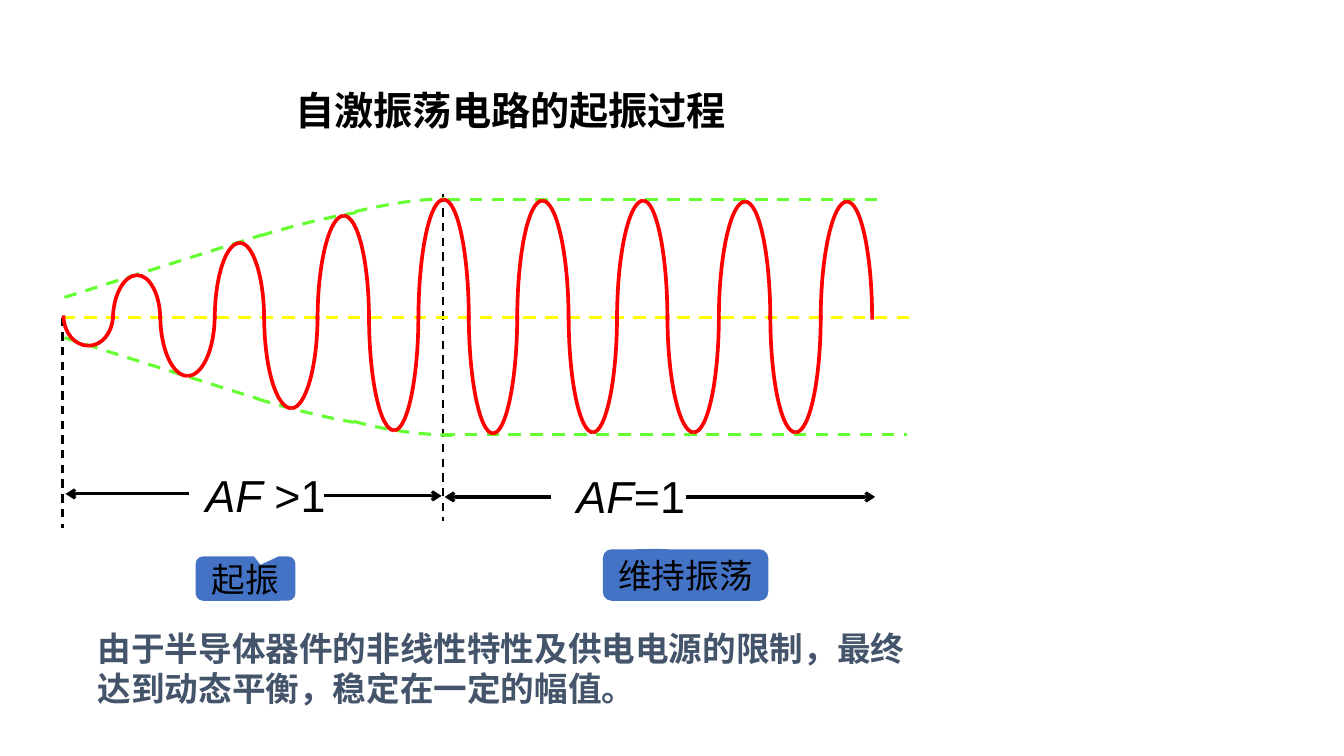
from lxml import etree
from pptx import Presentation
from pptx import util as u
from pptx.dml.color import RGBColor
from pptx.enum import dml, shapes, text
from pptx.oxml.ns import qn

EMU_PER_PX = 9144  # 100 px to the inch
COLORS = {"ink": "000000", "axis": "FFFF00", "envelope": "66FF33",
          "wave": "FF0000", "callout": "4472C4", "note": "44546A"}
AXIS_Y = 315
OVERLAP = 2  # each half wave runs slightly past the axis
ROUND = 0.55  # control point ratio of a quarter ellipse

ZERO_XS = [63, 112, 159, 213, 262, 315, 366, 415, 465,
           513, 564, 612, 662, 713, 764, 814, 865]
PEAKS = [(88, 343), (136, 273), (186, 373), (238, 241), (289, 405), (341, 214),
         (391, 427), (440, 198), (489, 430), (538, 199), (588, 429), (638, 199),
         (688, 429), (739, 200), (789, 429), (840, 200)]
ENVELOPE_LINES = [((64, 295), (260, 233)), ((444, 198), (871, 198)),
                  ((439, 431), (900, 431)), ((64, 335), (257, 396))]
ENVELOPE_CURVES = [[(258, 234), (291, 224), (323, 216), (353, 211)],
                   [(352, 210), (382, 203), (411, 198), (441, 197)],
                   [(256, 396), (289, 406), (322, 414), (351, 419)],
                   [(351, 418), (383, 427), (416, 431), (448, 432)]]
GUIDES = [((62, 315), (62, 524)), ((439, 192), (439, 517))]
# start, end, end that carries the arrowhead
SPANS = [((680, 493), (868, 493), "tailEnd"), ((441, 493), (547, 493), "headEnd"),
         ((65, 490), (187, 490), "headEnd"), ((321, 492), (438, 492), "tailEnd")]


def px(*values):
    return [u.Emu(value * EMU_PER_PX) for value in values]


class Painter:
    def __init__(self, slide):
        self.shapes = slide.shapes

    def color(self, name):
        return RGBColor.from_string(COLORS[name])

    def stroke(self, shape, color, width, dashed=False):
        shape.line.color.rgb = self.color(color)
        shape.line.width = u.Pt(width)
        if dashed:
            shape.line.dash_style = dml.MSO_LINE.DASH

    def line(self, start, end, color, width=2.25, dashed=False, arrow=None):
        connector = self.shapes.add_connector(
            shapes.MSO_CONNECTOR.STRAIGHT, *px(*start, *end))
        self.stroke(connector, color, width, dashed)
        if arrow:
            etree.SubElement(connector.get_or_add_ln(), qn("a:" + arrow), type="arrow")
        etree.SubElement(connector._element.spPr, qn("a:effectLst"))

    def curve(self, points, color, width, dashed=False):
        """Draw one cubic curve: start, two control points, end."""
        builder = self.shapes.build_freeform(*points[0], scale=EMU_PER_PX)
        builder.add_line_segments(points[1:], close=False)
        shape = builder.convert_to_shape()
        outline = shape._element.spPr.find(".//" + qn("a:path"))
        bezier = etree.Element(qn("a:cubicBezTo"))
        for segment in outline.findall(qn("a:lnTo")):
            bezier.append(segment[0])
            outline.remove(segment)
        outline.append(bezier)
        shape.fill.background()
        shape.shadow.inherit = False
        self.stroke(shape, color, width, dashed)

    def set_text(self, shape, runs, size, font, color, bold=False, inset=True):
        """Fill a shape with one paragraph; runs are (wording, italic) pairs."""
        frame = shape.text_frame
        if not inset:
            frame.margin_left = frame.margin_right = 0
            frame.margin_top = frame.margin_bottom = 0
        para = frame.paragraphs[0]
        para.font.size = u.Pt(size)
        para.font.name = font
        para.font.bold = bold
        para.font.color.rgb = self.color(color)
        for wording, italic in runs:
            span = para.add_run()
            span.text = wording
            if italic:
                span.font.italic = True
        return para

    def label(self, bounds, runs, size, font="Arial", color="ink", wrap=False, **style):
        box = self.shapes.add_textbox(*px(*bounds))
        box.text_frame.word_wrap = wrap
        box.text_frame.auto_size = text.MSO_AUTO_SIZE.SHAPE_TO_FIT_TEXT
        self.set_text(box, runs, size, font, color, **style)

    def callout(self, bounds, tip, wording):
        shape = self.shapes.add_shape(
            shapes.MSO_SHAPE.ROUNDED_RECTANGULAR_CALLOUT, *px(*bounds))
        shape.adjustments[0], shape.adjustments[1] = tip
        shape.fill.solid()
        shape.fill.fore_color.rgb = self.color("callout")
        shape.line.fill.background()
        shape.shadow.inherit = False
        shape.text_frame.vertical_anchor = text.MSO_ANCHOR.MIDDLE
        para = self.set_text(shape, [(wording, False)], 24, "Noto Sans CJK SC", "ink",
                             inset=False)
        para.alignment = text.PP_ALIGN.CENTER

    def half_wave(self, left, right, peak):
        """Draw two quarter ellipses from the peak to the axis on each side."""
        peak_x, peak_y = peak
        foot_y = AXIS_Y - OVERLAP if peak_y > AXIS_Y else AXIS_Y + OVERLAP
        for foot_x in (left, right):
            self.curve([peak,
                        (round(peak_x + ROUND * (foot_x - peak_x)), peak_y),
                        (foot_x, round(foot_y + ROUND * (peak_y - foot_y))),
                        (foot_x, foot_y)], "wave", 2.63)


def main():
    deck = Presentation()
    deck.slide_width, deck.slide_height = px(1333, 750)
    painter = Painter(deck.slides.add_slide(deck.slide_layouts[6]))

    for start, end, arrow in SPANS:
        painter.line(start, end, "ink", arrow=arrow)
    painter.label((562, 460, 128, 63), [("AF", True), ("=1", False)], 32)
    painter.label((194, 459, 140, 63), [("AF ", True), (">1", False)], 32)
    for start, end in GUIDES:
        painter.line(start, end, "ink", 1.5, dashed=True)

    painter.callout((194, 552, 99, 44), (0.15, -0.31), "起振")
    painter.callout((598, 545, 164, 51), (-0.18, -0.51), "维持振荡")
    painter.label((293, 86, 432, 47), [("自激振荡电路的起振过程", False)], 28,
                  bold=True, inset=False)

    painter.line((62, AXIS_Y), (907, AXIS_Y), "axis", dashed=True)
    for start, end in ENVELOPE_LINES:
        painter.line(start, end, "envelope", dashed=True)
    for points in ENVELOPE_CURVES:
        painter.curve(points, "envelope", 2.25, dashed=True)
    for left, right, peak in zip(ZERO_XS, ZERO_XS[1:], PEAKS):
        painter.half_wave(left, right, peak)

    painter.label((87, 618, 846, 91),
                  [("由于半导体器件的非线性特性及供电电源的限制，最终达到动态平衡，稳定在一定的幅值。", False)],
                  24, "Times New Roman", "note", wrap=True, bold=True)
    deck.save("out.pptx")


if __name__ == "__main__":
    main()
